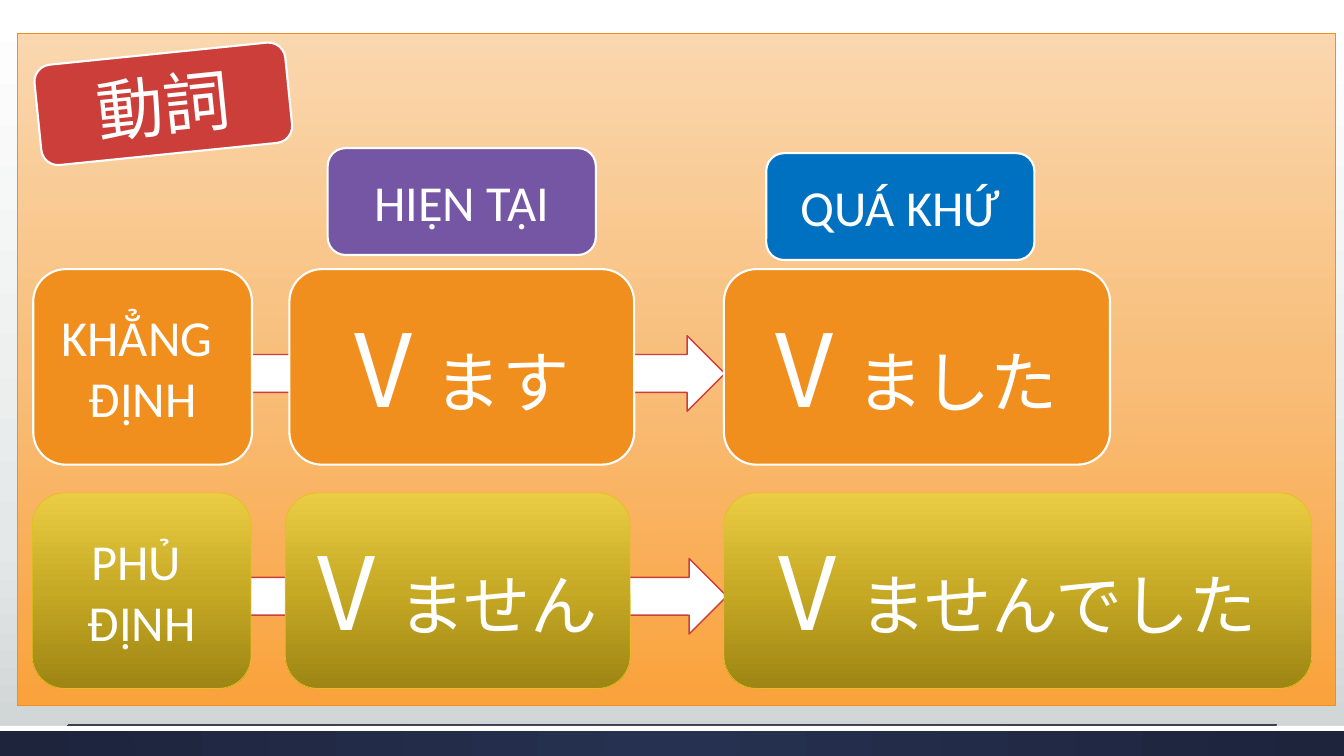
import pptx
import pptx.dml.color
import pptx.enum.shapes
import pptx.enum.text
import pptx.oxml
import pptx.oxml.ns
import pptx.util

EMU_PER_PX = 9144  # 100 px to the inch
COLORS = {
    "white": "FFFFFF", "red": "CB3E3A", "orange": "F08F1E", "gold": "E3C01E",
    "purple": "7556A4", "blue": "0070C0", "dark": "404040",
}
GRADIENTS = {
    "page": [(0, "FFFFFF"), (72, "E5E8E8"), (100, "CDD2D2")],
    "footer": [(0, "263050"), (100, "1D243C")],
    "panel": [(0, "FAD7AE"), (50, "F8BE7A"), (100, "FAA23C")],
    "olive": [(0, "EBCD45"), (50, "C6A924"), (100, "9E8514")],
}
JAPANESE, LATIN = "Noto Sans CJK JP", "Calibri"
SHAPES = pptx.enum.shapes.MSO_SHAPE


def px(length):
    return pptx.util.Emu(length * EMU_PER_PX)


def rgb(name):
    return pptx.dml.color.RGBColor.from_string(COLORS[name])


def element(xml):
    return pptx.oxml.parse_xml(xml.replace(">", f" {pptx.oxml.ns.nsdecls('a')}>", 1))


class Slide:
    def __init__(self, deck):
        self.page = deck.slides.add_slide(deck.slide_layouts[6])

    def gradient(self, fill, owner, name, radial=False):
        """Fill with the named stops, downwards or outwards from the centre."""
        fill.gradient()
        fill.gradient_angle = 270
        node = owner.find(".//" + pptx.oxml.ns.qn("a:gradFill"))
        stops = "".join(
            f'<a:gs pos="{pos * 1000}"><a:srgbClr val="{color}"/></a:gs>'
            for pos, color in GRADIENTS[name])
        node.replace(node.find(pptx.oxml.ns.qn("a:gsLst")),
                     element(f"<a:gsLst>{stops}</a:gsLst>"))
        if radial:
            node.replace(node.find(pptx.oxml.ns.qn("a:lin")), element(
                '<a:path path="circle"><a:fillToRect l="50000" t="50000"'
                ' r="50000" b="50000"/></a:path>'))

    def background(self, name):
        self.gradient(self.page.background.fill, self.page._element, name)

    def shape(self, kind, place, fill, line=None, width=1.5, radial=False):
        shape = self.page.shapes.add_shape(kind, *map(px, place))
        shape.shadow.inherit = False
        if fill in GRADIENTS:
            self.gradient(shape.fill, shape._element, fill, radial)
        else:
            shape.fill.solid()
            shape.fill.fore_color.rgb = rgb(fill)
        if line:
            shape.line.color.rgb = rgb(line)
            shape.line.width = pptx.util.Pt(width)
        else:
            shape.line.fill.background()
        return shape

    def rule(self, left, right, top, color):
        line = self.page.shapes.add_connector(
            pptx.enum.shapes.MSO_CONNECTOR.STRAIGHT,
            px(left), px(top), px(right), px(top))
        line.line.color.rgb = rgb(color)
        line.line.width = pptx.util.Pt(0.75)
        line._element.spPr.append(element("<a:effectLst></a:effectLst>"))

    def card(self, place, fill, lines, font, line="white", width=1.5):
        """Rounded box; each line is a list of (text, size) spans."""
        card = self.shape(SHAPES.ROUNDED_RECTANGLE, place, fill, line, width)
        frame = card.text_frame
        frame.word_wrap = True
        frame.vertical_anchor = pptx.enum.text.MSO_ANCHOR.MIDDLE
        for index, spans in enumerate(lines):
            para = frame.paragraphs[0] if index == 0 else frame.add_paragraph()
            para.alignment = pptx.enum.text.PP_ALIGN.CENTER
            for text, size in spans:
                span = para.add_run()
                span.text = text
                span.font.size = pptx.util.Pt(size)
                span.font.name = font
                span.font.color.rgb = rgb("white")
                span.font._element.find(pptx.oxml.ns.qn("a:latin")).addnext(
                    element(f'<a:ea typeface="{font}"></a:ea>'))
        return card


def main():
    deck = pptx.Presentation()
    deck.slide_width, deck.slide_height = px(1333), px(750)
    slide = Slide(deck)
    slide.background("page")
    slide.shape(SHAPES.RECTANGLE, (0, 720, 1333, 30), "footer", radial=True)
    slide.shape(SHAPES.RECTANGLE, (0, 720, 1333, 5), "white")
    slide.rule(67, 1267, 719, "dark")
    slide.shape(SHAPES.RECTANGLE, (17, 33, 1307, 667), "panel", "orange", 0.5)

    title = slide.card((37, 53, 250, 100), "red", [[("動詞", 48)]], JAPANESE)
    title.rotation = 354.2

    # top, fill, line, line width, arrow (left, top), label, verb cards (left, width, ending)
    rows = [
        (267, "orange", "white", 1.5, (142, 333), (33, ["KHẲNG ", "ĐỊNH"]),
         [(287, 342, "ます"), (718, 383, "ました")]),
        (489, "olive", "gold", 0.5, (144, 554), (32, ["PHỦ ", "ĐỊNH"]),
         [(283, 342, "ません"), (718, 583, "ませんでした")]),
    ]
    for top, fill, line, weight, arrow, (label_left, words), verbs in rows:
        slide.shape(SHAPES.RIGHT_ARROW, (*arrow, 577, 75), "white", "red", 1)
        for left, width, ending in verbs:
            slide.card((left, top, width, 194), fill,
                       [[("V ", 72), (ending, 48)]], JAPANESE, line, weight)
        slide.card((label_left, top, 217, 194), fill,
                   [[(word, 36)] for word in words], LATIN, line, weight)

    for left, top, fill, tense in [(325, 147, "purple", "HIỆN TẠI"),
                                   (760, 152, "blue", "QUÁ KHỨ")]:
        slide.card((left, top, 266, 106), fill, [[(tense, 36)]], LATIN)

    deck.save("out.pptx")


if __name__ == "__main__":
    main()
